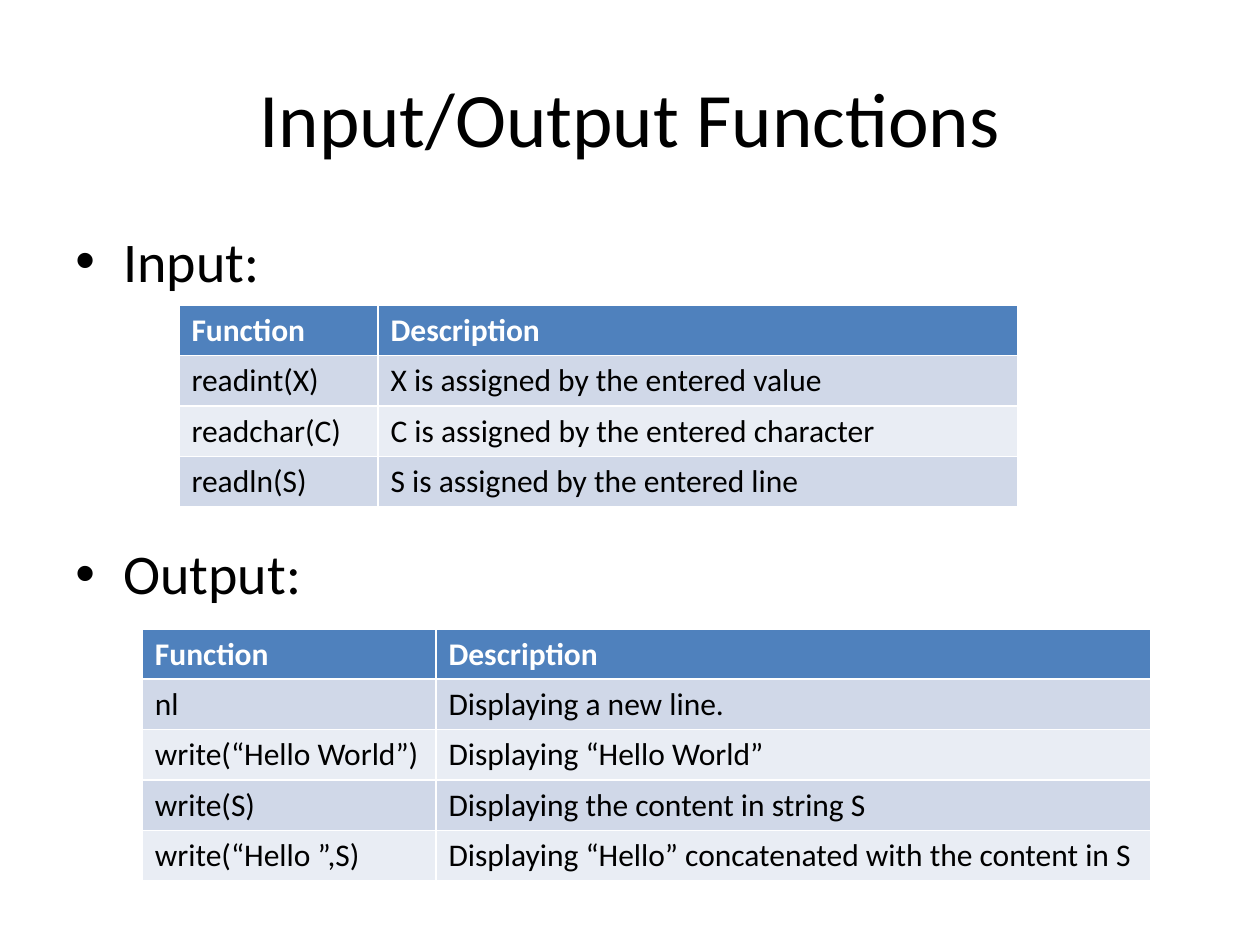
from dataclasses import dataclass

from lxml.etree import SubElement
from pptx import Presentation
from pptx.dml.color import RGBColor
from pptx.enum.text import MSO_ANCHOR, PP_ALIGN
from pptx.oxml.ns import qn
from pptx.util import Inches, Pt

FONT = "Calibri"
COLORS = {
    "text": "000000",
    "header_text": "FFFFFF",
    "header": "4F81BD",
    "odd_row": "D0D8E8",
    "even_row": "E9EDF4",
}
ROW_HEIGHT = 0.4


@dataclass
class FunctionTable:
    left: float
    top: float
    widths: tuple[float, float]
    functions: list[tuple[str, str]]


TABLES = [
    FunctionTable(1.42, 2.42, (1.58, 5.08), [
        ("readint(X)", "X is assigned by the entered value"),
        ("readchar(C)", "C is assigned by the entered character"),
        ("readln(S)", "S is assigned by the entered line"),
    ]),
    FunctionTable(1.13, 4.99, (2.33, 5.67), [
        ("nl", "Displaying a new line."),
        ("write(“Hello World”)", "Displaying “Hello World”"),
        ("write(S)", "Displaying the content in string S"),
        ("write(“Hello ”,S)", "Displaying “Hello” concatenated with the content in S"),
    ]),
]


def color(name: str) -> RGBColor:
    return RGBColor.from_string(COLORS[name])


def set_font(paragraph, size: int, color_name: str = "text", bold: bool = False) -> None:
    font = paragraph.font
    font.name, font.size, font.bold = FONT, Pt(size), bold
    font.color.rgb = color(color_name)


def add_box(page, left: float, top: float, width: float, height: float):
    box = page.shapes.add_textbox(Inches(left), Inches(top), Inches(width), Inches(height))
    box.text_frame.word_wrap = True
    return box.text_frame


def add_bullet(paragraph) -> None:
    properties = paragraph._p.get_or_add_pPr()
    properties.set("marL", str(Inches(0.38)))
    properties.set("indent", str(Inches(-0.38)))
    SubElement(properties, qn("a:buFont"), typeface="Arial")
    SubElement(properties, qn("a:buChar"), char="•")


def add_function_table(page, spec_table: FunctionTable) -> None:
    rows = [("Function", "Description"), *spec_table.functions]
    table = page.shapes.add_table(
        len(rows), len(spec_table.widths), Inches(spec_table.left), Inches(spec_table.top),
        Inches(sum(spec_table.widths)), Inches(ROW_HEIGHT * len(rows)),
    ).table
    for column, width in zip(table.columns, spec_table.widths):
        column.width = Inches(width)
    for row_index, row in enumerate(rows):
        is_header = row_index == 0
        fill_name = "header" if is_header else "odd_row" if row_index % 2 else "even_row"
        for column_index, text in enumerate(row):
            cell = table.cell(row_index, column_index)
            cell.text = text
            cell.fill.solid()
            cell.fill.fore_color.rgb = color(fill_name)
            set_font(cell.text_frame.paragraphs[0], 18,
                     "header_text" if is_header else "text", is_header)


deck = Presentation()
deck.slide_width, deck.slide_height = Inches(10), Inches(7.5)
page = deck.slides.add_slide(deck.slide_layouts[6])

# Title
title = add_box(page, 0.5, 0.3, 9, 1.25)
title.vertical_anchor = MSO_ANCHOR.MIDDLE
title.text = "Input/Output Functions"
title.paragraphs[0].alignment = PP_ALIGN.CENTER
set_font(title.paragraphs[0], 44)

# Section bullets, spaced to leave room for the first table
sections = add_box(page, 0.5, 1.75, 9.25, 4.95)
sections.text = "Input:\nOutput:"
for paragraph, space_before in zip(sections.paragraphs, (6, 140)):
    paragraph.space_before = Pt(space_before)
    add_bullet(paragraph)
    set_font(paragraph, 32)

# Function tables
for function_table in TABLES:
    add_function_table(page, function_table)

deck.save("out.pptx")
